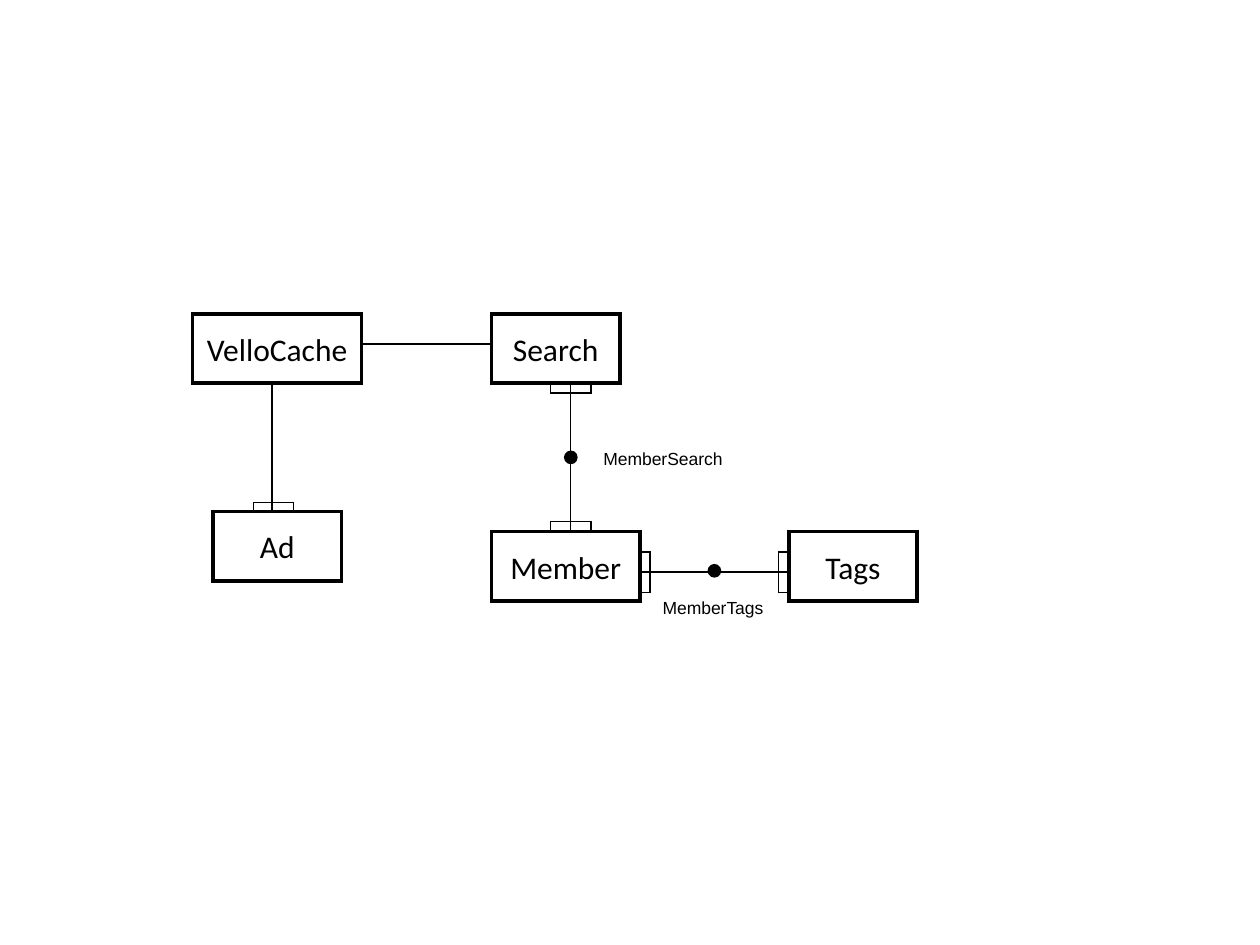
from pptx import Presentation
from pptx.dml.color import RGBColor
from pptx.enum.shapes import MSO_CONNECTOR, MSO_SHAPE
from pptx.enum.text import MSO_ANCHOR, MSO_AUTO_SIZE, PP_ALIGN
from pptx.oxml.ns import qn
from pptx.util import Inches, Pt
from lxml import etree

BLACK = RGBColor(0, 0, 0)
RECT, OVAL = MSO_SHAPE.RECTANGLE, MSO_SHAPE.OVAL
LINE = MSO_CONNECTOR.STRAIGHT
CENTER, MIDDLE = PP_ALIGN.CENTER, MSO_ANCHOR.MIDDLE
NO_FIT = MSO_AUTO_SIZE.NONE
THICK, THIN = Pt(2.01), Pt(0.74)

deck = Presentation()
deck.slide_width, deck.slide_height = Inches(10), Inches(7.5)
slide = deck.slides.add_slide(deck.slide_layouts[6])
shapes = slide.shapes


def add_form(kind, x, y, w, h, width):
    form = shapes.add_shape(kind, Inches(x), Inches(y), Inches(w), Inches(h))
    form.shadow.inherit = False
    form.fill.background()
    form.line.color.rgb = BLACK
    form.line.width = width
    # Sharp corners
    etree.SubElement(form.line._get_or_add_ln(), qn("a:miter"), lim="800000")
    return form


def set_text(frame, text, font, size):
    frame.text = text
    para = frame.paragraphs[0]
    para.font.name = font
    para.font.size = Pt(size)
    para.font.color.rgb = BLACK
    return para


# Entity boxes
BOX_H = 0.55
for name, x, y, w in [
    ("Ad", 1.69, 4.06, 1.02),
    ("Tags", 6.26, 4.22, 1.02),
    ("Member", 3.9, 4.22, 1.18),
    ("VelloCache", 1.53, 2.49, 1.34),
    ("Search", 3.9, 2.49, 1.02),
]:
    box = add_form(RECT, x, y, w, BOX_H, THICK)
    box.text_frame.vertical_anchor = MIDDLE
    set_text(box.text_frame, name, "Calibri", 18).alignment = CENTER

# Relation lines
for x1, y1, x2, y2 in [
    (2.16, 3.04, 2.16, 4.06),
    (2.87, 2.73, 3.9, 2.73),
    (5.08, 4.54, 6.26, 4.54),
    (4.53, 3.04, 4.53, 4.22),
]:
    link = shapes.add_connector(LINE, Inches(x1), Inches(y1), Inches(x2), Inches(y2))
    link.line.color.rgb = BLACK
    link.line.width = THIN
    etree.SubElement(link._element.spPr, qn("a:effectLst"))

# "Many" marks at the line ends, given by their centres
LONG, SHORT = 0.32, 0.08
for x, y, w, h in [
    (2.17, 4.03, LONG, SHORT),
    (4.53, 3.08, LONG, SHORT),
    (4.53, 4.18, LONG, SHORT),
    (5.12, 4.54, SHORT, LONG),
    (6.22, 4.54, SHORT, LONG),
]:
    add_form(RECT, x - w / 2, y - h / 2, w, h, THIN)

# Dots for the join tables
DOT = 0.08
for x, y in [(5.67, 4.53), (4.53, 3.63)]:
    dot = add_form(OVAL, x - DOT / 2, y - DOT / 2, DOT, DOT, THICK)
    dot.fill.solid()
    dot.fill.fore_color.rgb = BLACK

# Join table names
for name, x, y, w in [("MemberTags", 5.16, 4.69, 1.01), ("MemberSearch", 4.69, 3.51, 1.16)]:
    label = shapes.add_textbox(Inches(x), Inches(y), Inches(w), Inches(0.27))
    label.text_frame.word_wrap = True
    label.text_frame.auto_size = NO_FIT
    set_text(label.text_frame, name, "Arial", 10)

deck.save("out.pptx")
